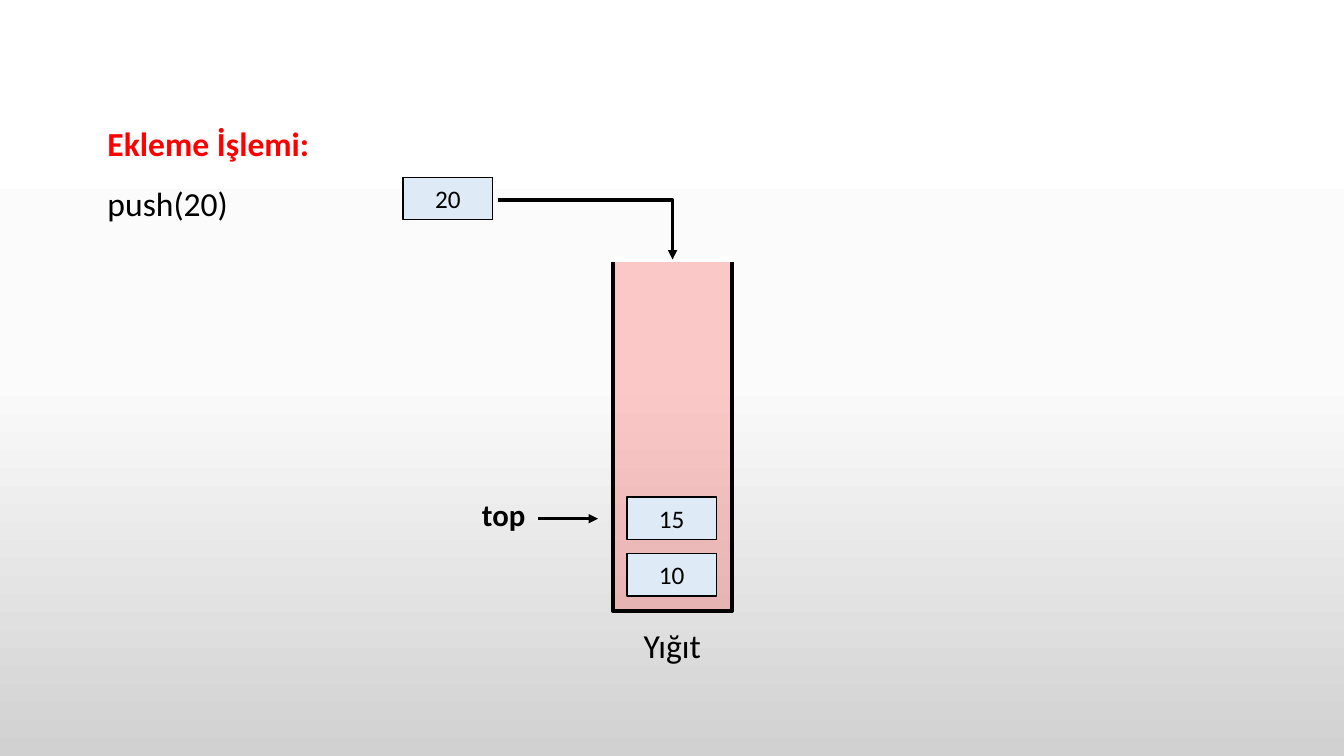
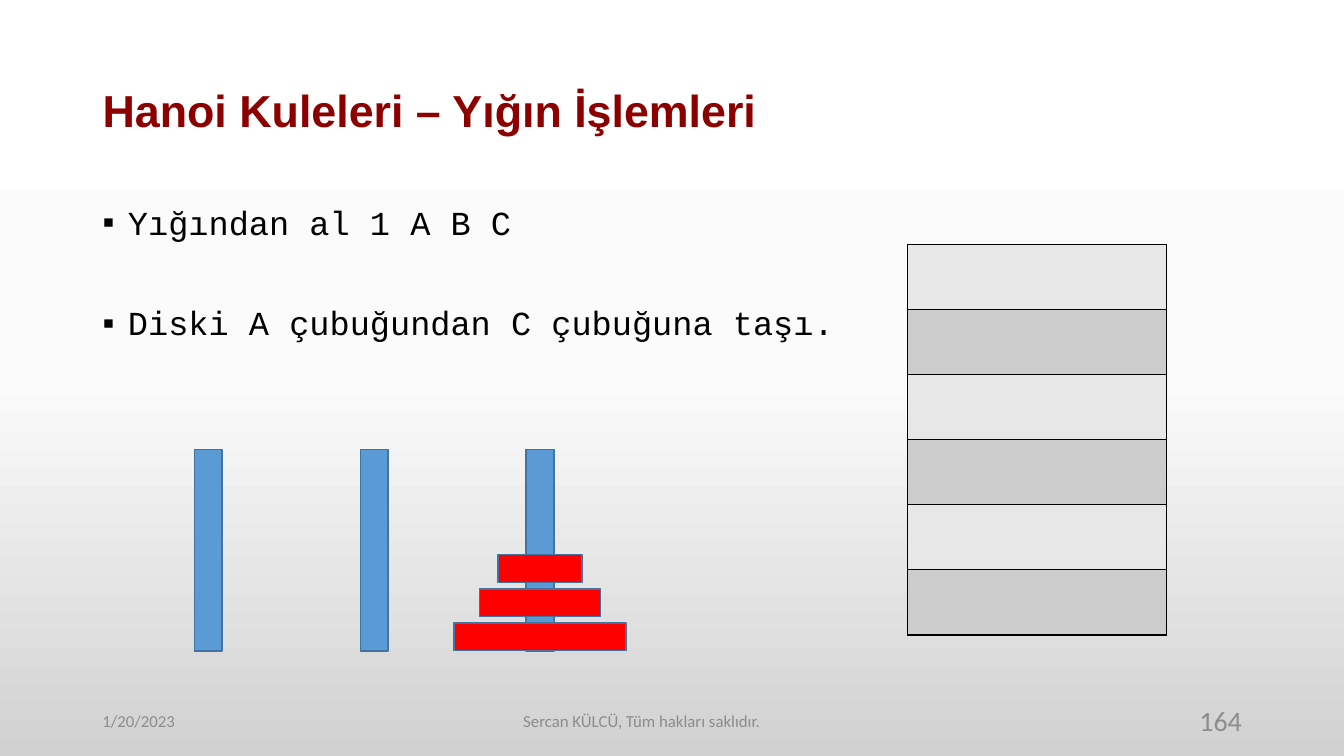
from copy import deepcopy

from pptx import Presentation
from pptx import util as u
from pptx.dml.color import RGBColor
from pptx.enum import shapes, text
from pptx.oxml.ns import qn
from pptx.util import Cm

COLORS = {
    "black": "000000", "white": "FFFFFF", "red": "FF0000", "title": "8C0000",
    "footer": "8C8C8C", "cell": "DEEBF7", "rod": "5B9BD5", "edge": "43739E",
    "light": "E7E7E7", "dark": "CCCCCC", "mid": "FBFBFB", "bottom": "D1D1D1",
}
BLANK, TITLE_AND_CONTENT = 6, 1
LEFT, CENTER, RIGHT, JUSTIFY = (text.PP_ALIGN.LEFT, text.PP_ALIGN.CENTER,
                                text.PP_ALIGN.RIGHT, text.PP_ALIGN.JUSTIFY)
MIDDLE = text.MSO_ANCHOR.MIDDLE


def rgb(name):
    return RGBColor.from_string(COLORS[name])


def add_xml(parent, tag, **attrs):
    child = parent.makeelement(qn(tag), attrs)
    parent.append(child)
    return child


class Deck:
    """Holds the shared style and the slide being filled."""

    def __init__(self):
        self.prs = Presentation()
        self.prs.slide_width, self.prs.slide_height = Cm(33.87), Cm(19.05)
        self.s = None
        self.set_background()

    def set_background(self):
        master = self.prs.slide_master
        fill = master.background.fill
        fill.gradient()
        fill.gradient_angle = 270
        stops = master.element.find(".//" + qn("a:gsLst"))
        stops.append(deepcopy(stops[0]))
        for stop, (pos, color) in zip(fill.gradient_stops,
                                      [(0, "white"), (0.5, "mid"), (1, "bottom")]):
            stop.position = pos
            stop.color.rgb = rgb(color)

    def new_slide(self, layout):
        self.s = self.prs.slides.add_slide(self.prs.slide_layouts[layout])

    def style(self, p, size, color="black", bold=False, font="Calibri",
              align=LEFT, spacing=None):
        p.alignment = align
        p.line_spacing = spacing
        for r in p.runs:
            r.font.name, r.font.size, r.font.bold = font, u.Pt(size), bold
            r.font.color.rgb = rgb(color)

    def place(self, sp, x, y, w, h):
        sp.left, sp.top, sp.width, sp.height = Cm(x), Cm(y), Cm(w), Cm(h)

    def title(self, words):
        sp = self.s.shapes.title
        self.place(sp, 2.33, 1.01, 29.21, 3.68)
        tf = sp.text_frame
        tf.text = words
        tf.vertical_anchor = MIDDLE
        tf.auto_size = text.MSO_AUTO_SIZE.NONE
        self.style(tf.paragraphs[0], 32, "title", True, "Arial", spacing=0.9)

    def bullets(self, items, gap):
        sp = self.s.placeholders[1]
        self.place(sp, 2.33, 5.07, 29.21, 13)
        tf = sp.text_frame
        tf.text = "\n".join(items)
        tf.auto_size = text.MSO_AUTO_SIZE.NONE
        for i, p in enumerate(tf.paragraphs):
            pPr = p._p.get_or_add_pPr()
            pPr.set("marL", str(Cm(0.64)))
            pPr.set("indent", str(-Cm(0.64)))
            add_xml(pPr, "a:buFont", typeface="Arial")
            add_xml(pPr, "a:buChar", char="▪")
            p.space_before = u.Pt(gap if i else 0)
            self.style(p, 24, font="Courier New", align=JUSTIFY, spacing=0.9)

    def label(self, words, x, y, w, h, size, wrap=False, anchor=text.MSO_ANCHOR.TOP,
              **style):
        tf = self.s.shapes.add_textbox(Cm(x), Cm(y), Cm(w), Cm(h)).text_frame
        tf.word_wrap = wrap
        tf.vertical_anchor = anchor
        tf.text = words
        for p in tf.paragraphs:
            self.style(p, size, **style)
        return tf

    def footer(self, date, owner, number):
        for words, x, w, size, align in [(date, 2.33, 7.62, 12, LEFT),
                                         (owner, 6.55, 19.25, 12, CENTER),
                                         (number, 23.93, 7.62, 20, RIGHT)]:
            self.label(words, x, 17.65, w, 1.02, size, wrap=True, anchor=MIDDLE,
                       color="footer", align=align)

    def box(self, x, y, w, h, fill, line, weight=1, words="", opacity=None):
        sp = self.s.shapes.add_shape(shapes.MSO_SHAPE.RECTANGLE,
                                     Cm(x), Cm(y), Cm(w), Cm(h))
        sp.shadow.inherit = False
        sp.fill.solid()
        sp.fill.fore_color.rgb = rgb(fill)
        if opacity is not None:
            color = sp._element.spPr.find(qn("a:solidFill"))[0]
            add_xml(color, "a:alpha", val=str(opacity * 1000))
        sp.line.color.rgb = rgb(line)
        sp.line.width = u.Pt(weight)
        if words:
            sp.text_frame.text = words
            sp.text_frame.vertical_anchor = MIDDLE
            self.style(sp.text_frame.paragraphs[0], 18, align=CENTER)

    def value(self, words, x, y):
        self.box(x, y, 2.26, 1.07, "cell", "black", words=words)

    def arrow(self, x1, y1, x2, y2, bent=False):
        kind = shapes.MSO_CONNECTOR.ELBOW if bent else shapes.MSO_CONNECTOR.STRAIGHT
        c = self.s.shapes.add_connector(kind, Cm(x1), Cm(y1), Cm(x2), Cm(y2))
        spPr = c._element.spPr
        if bent:
            spPr.find(qn("a:prstGeom")).set("prst", "bentConnector2")
        c.line.color.rgb = rgb("black")
        c.line.width = u.Pt(2.25)
        add_xml(spPr.find(qn("a:ln")), "a:tailEnd", type="triangle")
        add_xml(spPr, "a:effectLst")

    def empty_table(self, x, y, w, row_h, rows):
        table = self.s.shapes.add_table(rows, 1, Cm(x), Cm(y), Cm(w),
                                        Cm(row_h * rows)).table
        for i in range(rows):
            cell = table.cell(i, 0)
            tcPr = cell._tc.get_or_add_tcPr()
            for side in "LRTB":
                ln = add_xml(tcPr, f"a:ln{side}", w=str(u.Pt(1)))
                add_xml(add_xml(ln, "a:solidFill"), "a:srgbClr", val=COLORS["black"])
            cell.fill.solid()
            cell.fill.fore_color.rgb = rgb("dark" if i % 2 else "light")


def push_slide(deck):
    deck.new_slide(BLANK)
    deck.box(15.45, 6.52, 3, 8.87, "red", "black", 3, opacity=20)
    deck.box(15.4, 6.48, 3.1, 0.1, "white", "white")
    deck.label("Yığıt", 15.95, 15.62, 1.98, 1.27, 24, align=CENTER)
    tf = deck.label("Ekleme İşlemi:\npush(20)", 2.46, 2.46, 5.64, 3.33, 24, spacing=1.5)
    deck.style(tf.paragraphs[0], 24, "red", True, spacing=1.5)
    deck.value("20", 10.16, 4.47)
    deck.arrow(12.55, 5.04, 16.95, 6.54, bent=True)
    for i, words in enumerate(["10", "15"]):
        deck.value(words, 15.8, 13.95 - 1.43 * i)
    deck.arrow(13.56, 13.07, 15.07, 13.07)
    deck.label("top", 11.86, 12.37, 1.63, 1.19, 22, bold=True, align=RIGHT)


def hanoi_slide(deck):
    deck.new_slide(TITLE_AND_CONTENT)
    deck.title("Hanoi Kuleleri – Yığın İşlemleri")
    deck.bullets(["Yığından al 1 A B C", "Diski A çubuğundan C çubuğuna taşı."], gap=46)
    deck.footer("1/20/2023", "Sercan KÜLCÜ, Tüm hakları saklıdır.", "164")
    deck.empty_table(22.88, 6.16, 6.51, 1.64, 6)
    rod_w, rod_step, first_rod = 0.7, 4.18, 4.9
    for i in range(3):
        deck.box(first_rod + rod_step * i, 11.33, rod_w, 5.08, "rod", "edge")
    center = first_rod + rod_step * 2 + rod_w / 2
    for i, w in enumerate([4.34, 3.05, 2.11]):
        deck.box(center - w / 2, 15.7 - 0.86 * i, w, 0.7, "red", "edge")


def main():
    deck = Deck()
    push_slide(deck)
    hanoi_slide(deck)
    deck.prs.save("out.pptx")


if __name__ == "__main__":
    main()
